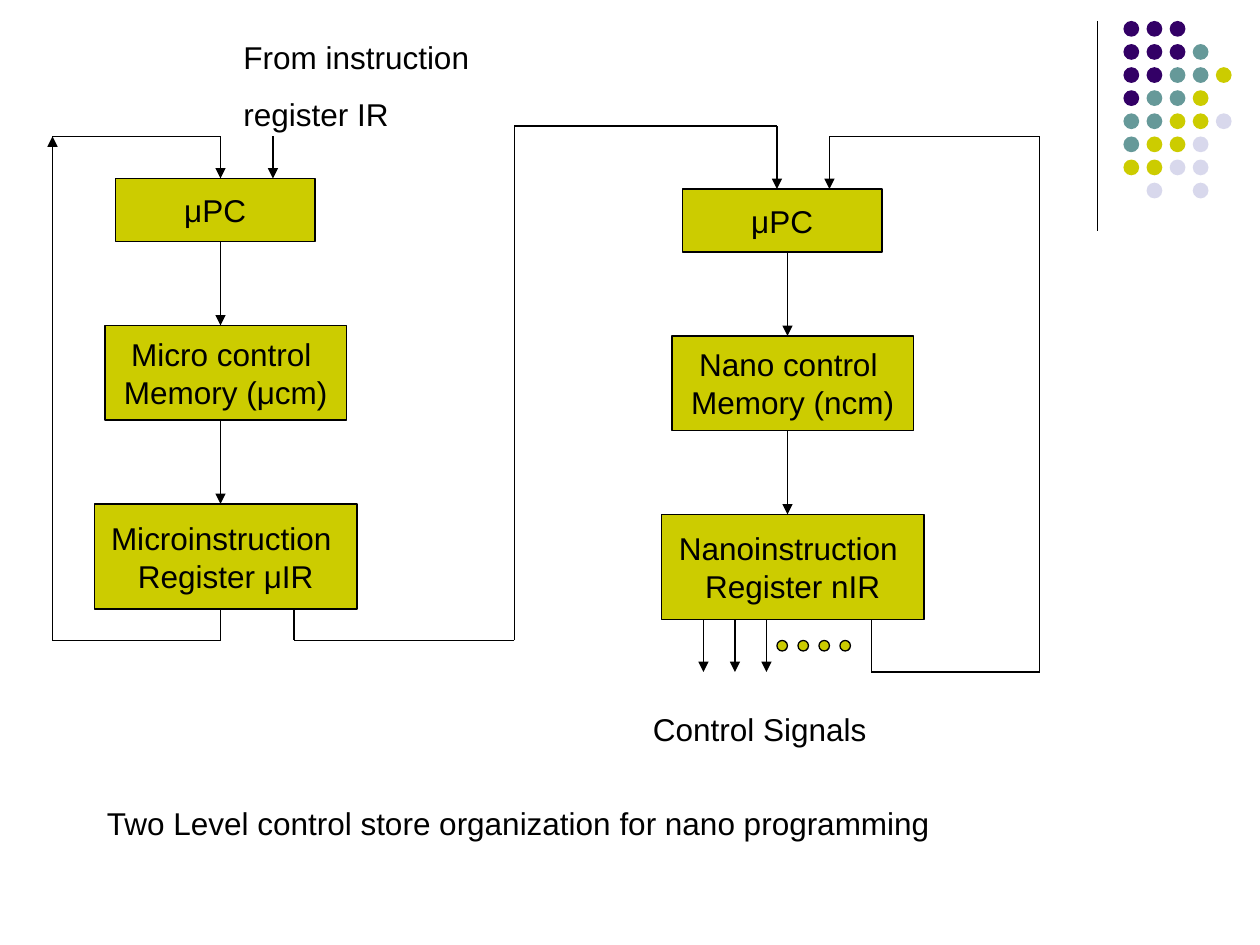
from itertools import pairwise
from lxml import etree
from pptx import Presentation
from pptx.dml.color import RGBColor
from pptx.enum.shapes import MSO_CONNECTOR, MSO_SHAPE
from pptx.enum.text import MSO_ANCHOR, MSO_AUTO_SIZE, PP_ALIGN
from pptx.oxml.ns import qn
from pptx.util import Inches, Pt

RECTANGLE, OVAL = MSO_SHAPE.RECTANGLE, MSO_SHAPE.OVAL
STRAIGHT = MSO_CONNECTOR.STRAIGHT
MIDDLE, CENTER, LEFT = MSO_ANCHOR.MIDDLE, PP_ALIGN.CENTER, PP_ALIGN.LEFT
FIT_SHAPE = MSO_AUTO_SIZE.SHAPE_TO_FIT_TEXT

COLOURS = {"ink": "000000", "olive": "CCCC00", "purple": "330066",
           "teal": "669999", "mist": "D8D8EC"}
COLOURS = {name: RGBColor.from_string(value) for name, value in COLOURS.items()}
FONT = {"name": "Arial", "size": Pt(18)}

deck = Presentation()
deck.slide_width, deck.slide_height = Inches(10), Inches(7.5)
page = deck.slides.add_slide(deck.slide_layouts[6])
CELL = deck.slide_width / 120


def add_figure(kind, area, fill, outlined=True):
    figure = page.shapes.add_shape(kind, *(round(n * CELL) for n in area))
    figure.shadow.inherit = False
    figure.fill.solid()
    figure.fill.fore_color.rgb = COLOURS[fill]
    if outlined:
        figure.line.color.rgb = COLOURS["ink"]
        figure.line.width = Pt(0.75)
    else:
        figure.line.fill.background()
    return figure


def write_lines(frame, lines, alignment, gap):
    frame.text = "\n".join(lines)
    for index, para in enumerate(frame.paragraphs):
        para.alignment = alignment
        para.space_before = Pt(gap if index else 0)
        for span in para.runs:
            for key, value in FONT.items():
                setattr(span.font, key, value)
            span.font.color.rgb = COLOURS["ink"]


DOT_ROWS = ["ppp", "pppt", "pptto", "ptto", "ttoom", "toom", "oomm", " m m"]
DOT_FILLS = {"p": "purple", "t": "teal", "o": "olive", "m": "mist"}
for row, pattern in enumerate(DOT_ROWS):
    for column, letter in enumerate(pattern):
        if letter in DOT_FILLS:
            add_figure(OVAL, (107 + 2.2 * column, 2 + 2.2 * row, 1.5, 1.5),
                       DOT_FILLS[letter], outlined=False)

BLOCK_AREAS = [(11, 17, 19, 6), (10, 31, 23, 9), (9, 48, 25, 10)]
STORES = [
    (0, 0, [[" μPC "], ["Micro control ", "Memory (μcm)"],
            ["Microinstruction ", "Register μIR"]]),
    (54, 1, [["μPC"], ["Nano control ", "Memory (ncm)"],
             ["Nanoinstruction ", "Register nIR"]]),
]
routes = [
    ([(21, 58), (21, 61), (5, 61), (5, 13)], True),
    ([(5, 13), (21, 13), (21, 17)], True),
    ([(28, 58), (28, 61), (49, 61), (49, 12), (74, 12), (74, 18)], True),
    ([(83, 59), (83, 64), (99, 64), (99, 13), (79, 13), (79, 18)], True),
    ([(26, 13), (26, 17)], True),
    ([(104.5, 2), (104.5, 22)], False),
]
for right, down, labels in STORES:
    for (left, top, width, height), lines in zip(BLOCK_AREAS, labels):
        block = add_figure(RECTANGLE, (left + right, top + down, width, height), "olive")
        frame = block.text_frame
        frame.word_wrap = False
        frame.vertical_anchor = MIDDLE
        write_lines(frame, lines, CENTER, 0)
    for upper, lower in pairwise(BLOCK_AREAS):
        routes.append(([(21 + right, upper[1] + upper[3] + down),
                        (21 + right, lower[1] + down)], True))
for column in (67, 70, 73):
    routes.append(([(column, 59), (column, 64)], True))

for points, arrow in routes:
    for start, end in pairwise(points):
        wire = page.shapes.add_connector(STRAIGHT, *(round(n * CELL) for n in start + end))
        wire.line.color.rgb = COLOURS["ink"]
        wire.line.width = Pt(0.75)
        if arrow and end == points[-1]:
            etree.SubElement(wire.line._get_or_add_ln(), qn("a:tailEnd"), type="triangle")
        etree.SubElement(wire._element.spPr, qn("a:effectLst"))

for column in range(74, 81, 2):
    add_figure(OVAL, (column, 61, 1, 1), "olive")

CAPTIONS = [
    ((22, 3, 28, 10.3), ["From instruction", "register IR"]),
    ((61, 67, 28, 4.8), ["Control Signals"]),
    ((9, 76, 101, 4.8), ["Two Level control store organization for nano programming"]),
]
for area, lines in CAPTIONS:
    box = page.shapes.add_textbox(*(round(n * CELL) for n in area))
    box.text_frame.word_wrap = True
    box.text_frame.auto_size = FIT_SHAPE
    write_lines(box.text_frame, lines, LEFT, 11.2)

deck.save("out.pptx")
